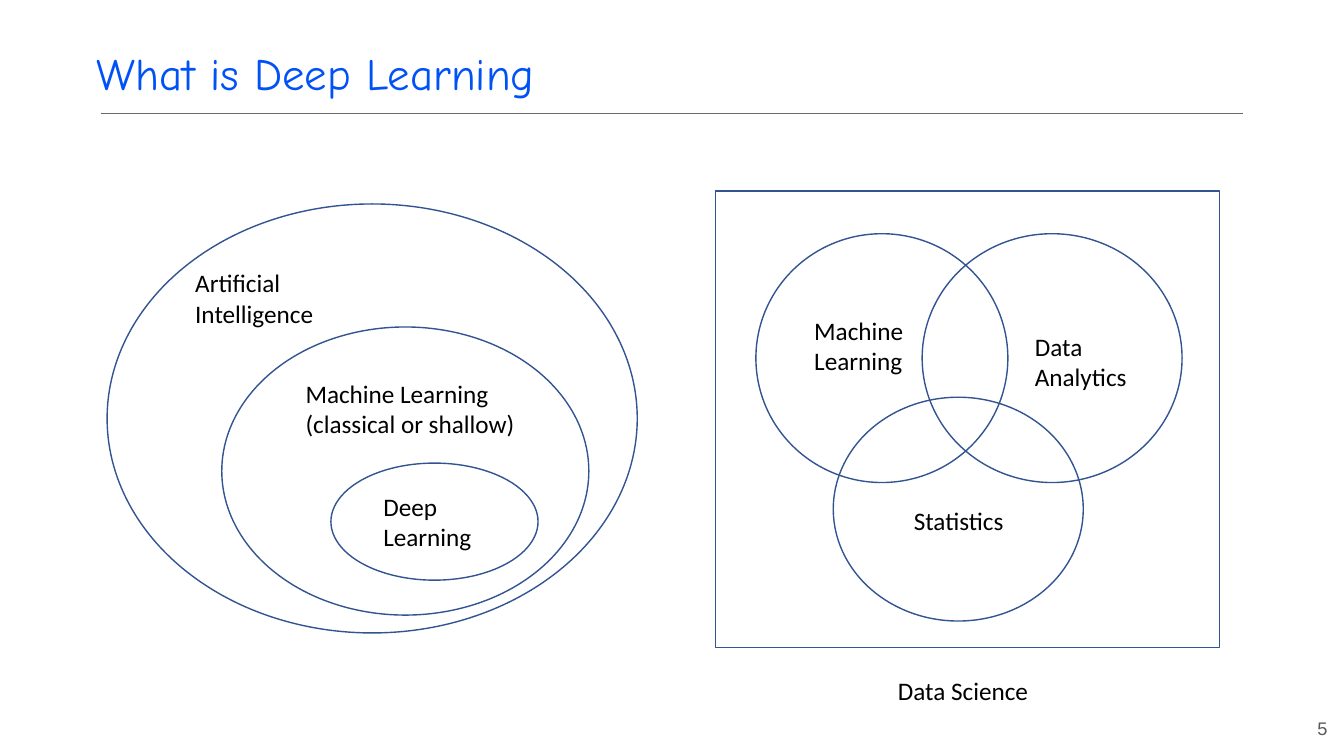
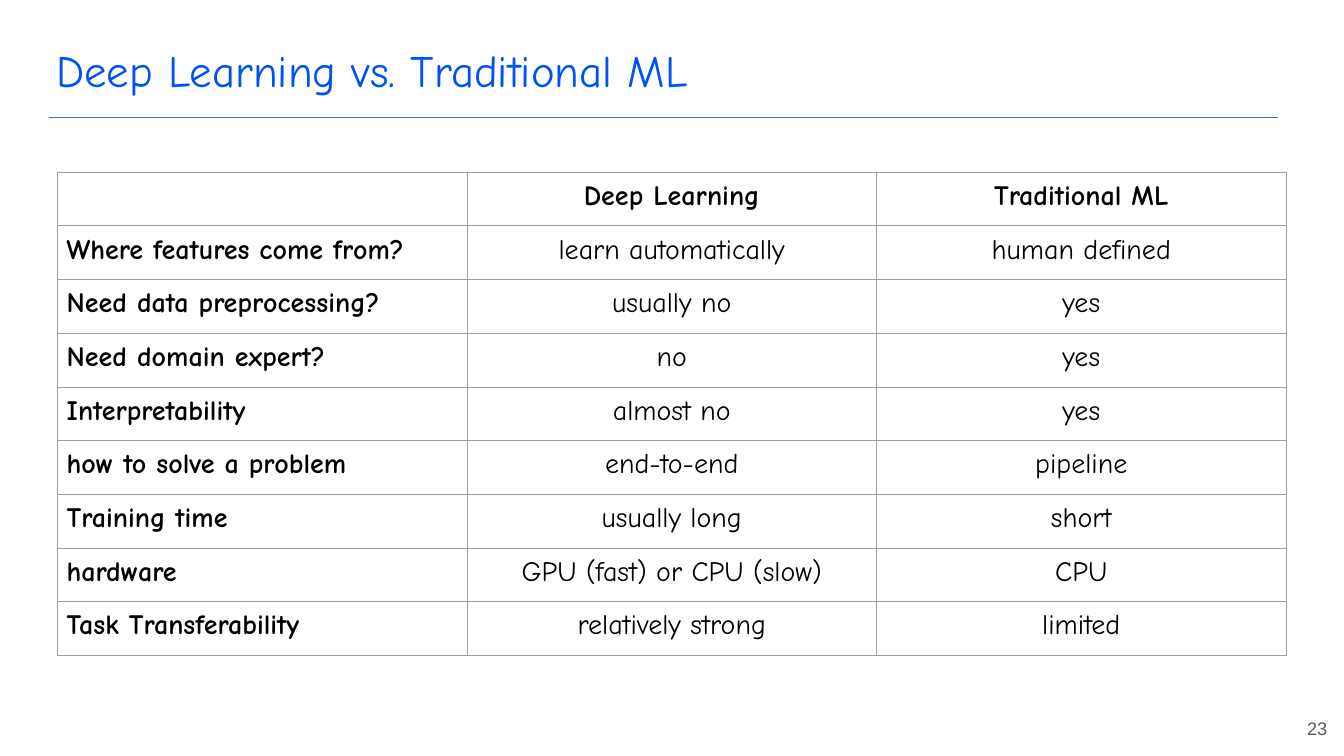
"""Builds two slides on deep learning: set diagrams and a comparison table."""
from dataclasses import dataclass

from lxml.etree import SubElement
from pptx import Presentation
from pptx.dml.color import RGBColor as Rgb
from pptx.enum.shapes import MSO_CONNECTOR as Connector, MSO_SHAPE as Shape
from pptx.enum.text import MSO_ANCHOR as Anchor, PP_ALIGN as Align
from pptx.oxml.ns import qn
from pptx.util import Cm, Pt


@dataclass(frozen=True)
class Theme:
    blue: Rgb = Rgb(0x00, 0x52, 0xF6)
    outline: Rgb = Rgb(0x32, 0x54, 0x91)
    rule_gray: Rgb = Rgb(0x6B, 0x6B, 0x6B)
    rule_blue: Rgb = Rgb(0x44, 0x72, 0xC4)
    number: Rgb = Rgb(0x59, 0x59, 0x59)
    black: Rgb = Rgb(0, 0, 0)
    border: str = "9E9E9E"
    title_font: str = "Comic Neue"
    label_font: str = "Calibri"
    number_font: str = "Arial"
    title_size: int = 32
    cell_size: int = 20
    label_size: int = 18
    number_size: int = 13


theme = Theme()


def style(para, font_name, size, color, bold=False):
    para.font.name = font_name
    para.font.size = Pt(size)
    para.font.color.rgb = color
    para.font.bold = bold


def add_text(page, text, place, font_name, size, color, insets=None):
    box = page.shapes.add_textbox(*map(Cm, place))
    frame = box.text_frame
    frame.word_wrap = True
    if insets:
        frame.vertical_anchor = Anchor.MIDDLE
        frame.margin_left, frame.margin_top = map(Cm, insets)
        frame.margin_right = frame.margin_bottom = 0
    frame.text = text
    for para in frame.paragraphs:
        style(para, font_name, size, color)
    return frame


deck = Presentation()
deck.slide_width, deck.slide_height = Cm(33.87), Cm(19.05)

headings = [
    ("What is Deep Learning", "5", 1.73, 0.84, (2.54, 31.32, 2.85), theme.rule_gray),
    ("Deep Learning vs. Traditional ML", "23", 0.71, 0.76, (1.24, 32.2, 2.95), theme.rule_blue),
]
pages = []
for title, number, left, top, (start, end, height), color in headings:
    page = deck.slides.add_slide(deck.slide_layouts[6])
    pages.append(page)
    add_text(page, title, (left, top, 29.21, 1.68),
             theme.title_font, theme.title_size, theme.blue, (0.71, 0.3))
    frame = add_text(page, number, (32.69, 18.06, 0.76, 0.58),
                     theme.number_font, theme.number_size, theme.number, (0, 0))
    frame.paragraphs[0].alignment = Align.RIGHT
    frame.paragraphs[0].line_spacing = Pt(15.3)
    rule = page.shapes.add_connector(
        Connector.STRAIGHT, Cm(start), Cm(height), Cm(end), Cm(height))
    rule.line.color.rgb = color
    rule.line.width = Pt(0.5)
    SubElement(rule.element.spPr, qn("a:effectLst"))

diagram_page, table_page = pages

outlines = [
    (Shape.OVAL, (2.7, 5.14, 13.36, 10.81)),
    (Shape.OVAL, (5.59, 8.24, 9.25, 7.26)),
    (Shape.OVAL, (8.34, 11.67, 5.22, 2.95)),
    (Shape.RECTANGLE, (18.03, 4.81, 12.7, 11.51)),
    (Shape.OVAL, (19.05, 5.89, 6.35, 6.27)),
    (Shape.OVAL, (23.24, 5.89, 6.55, 6.27)),
    (Shape.OVAL, (21, 10.01, 6.3, 5.64)),
]
for kind, place in outlines:
    outline = diagram_page.shapes.add_shape(kind, *map(Cm, place))
    outline.shadow.inherit = False
    outline.fill.background()
    outline.line.color.rgb = theme.outline
    outline.line.width = Pt(1)

labels = [
    ("Artificial\nIntelligence", (4.67, 6.62, 3.84, 1.8)),
    ("Machine Learning\n(classical or shallow)", (7.45, 9.41, 6.88, 1.8)),
    ("Deep\nLearning", (9.41, 12.25, 2.77, 1.8)),
    ("Machine\nLearning", (20.27, 7.82, 2.77, 1.8)),
    ("Data Analytics", (25.83, 8.23, 3.23, 1.8)),
    ("Statistics", (22.78, 12.6, 3.94, 1.02)),
    ("Data Science", (22.38, 16.9, 4.75, 1.02)),
]
for text, place in labels:
    add_text(diagram_page, text, place, theme.label_font, theme.label_size, theme.black)

rows = [
    ("", "Deep Learning", "Traditional ML"),
    ("Where features come from?", "learn automatically", "human defined"),
    ("Need data preprocessing?", "usually no", "yes"),
    ("Need domain expert?", "no", "yes"),
    ("Interpretability", "almost no", "yes"),
    ("how to solve a problem", "end-to-end", "pipeline"),
    ("Training time", "usually long", "short"),
    ("hardware", "GPU (fast) or CPU (slow)", "CPU"),
    ("Task Transferability", "relatively strong", "limited"),
]
table = table_page.shapes.add_table(
    len(rows), len(rows[0]), Cm(1.45), Cm(4.34), Cm(30.96), Cm(12.18)).table
table.first_row = table.horz_banding = False
for row_index, row in enumerate(rows):
    for column_index, text in enumerate(row):
        cell = table.cell(row_index, column_index)
        cell.text = text
        cell.margin_left = Cm(0 if column_index else 0.23)
        cell.margin_top = Cm(0.2)
        cell.margin_right = cell.margin_bottom = 0
        para = cell.text_frame.paragraphs[0]
        para.alignment = Align.CENTER if column_index else Align.LEFT
        style(para, theme.title_font, theme.cell_size, theme.black,
              bold=row_index == 0 or column_index == 0)
        properties = cell._tc.get_or_add_tcPr()
        for side in ("lnL", "lnR", "lnT", "lnB"):
            border = SubElement(properties, qn(f"a:{side}"), w=str(Pt(0.75)))
            fill = SubElement(border, qn("a:solidFill"))
            SubElement(fill, qn("a:srgbClr"), val=theme.border)
        cell.fill.background()

deck.save("out.pptx")
